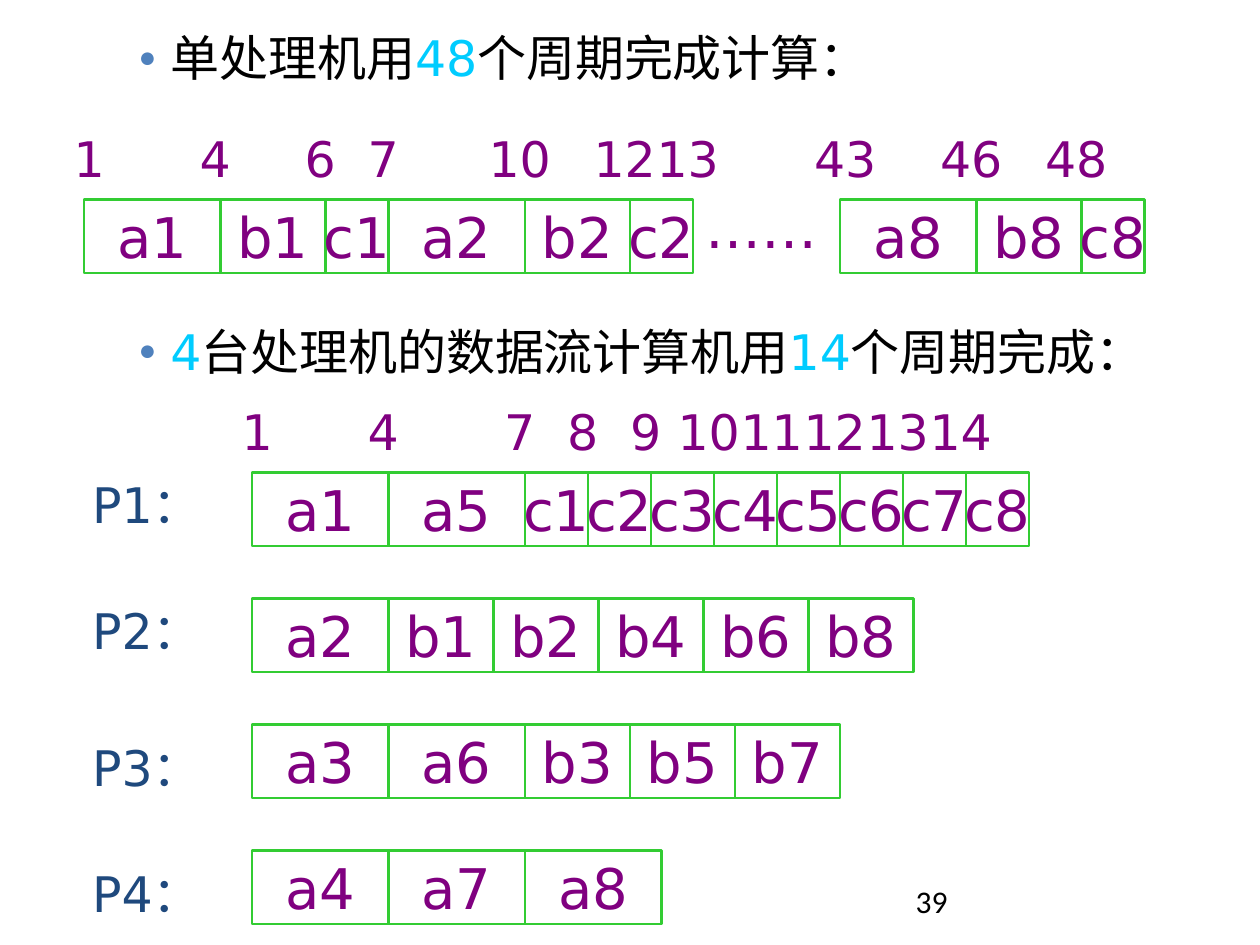
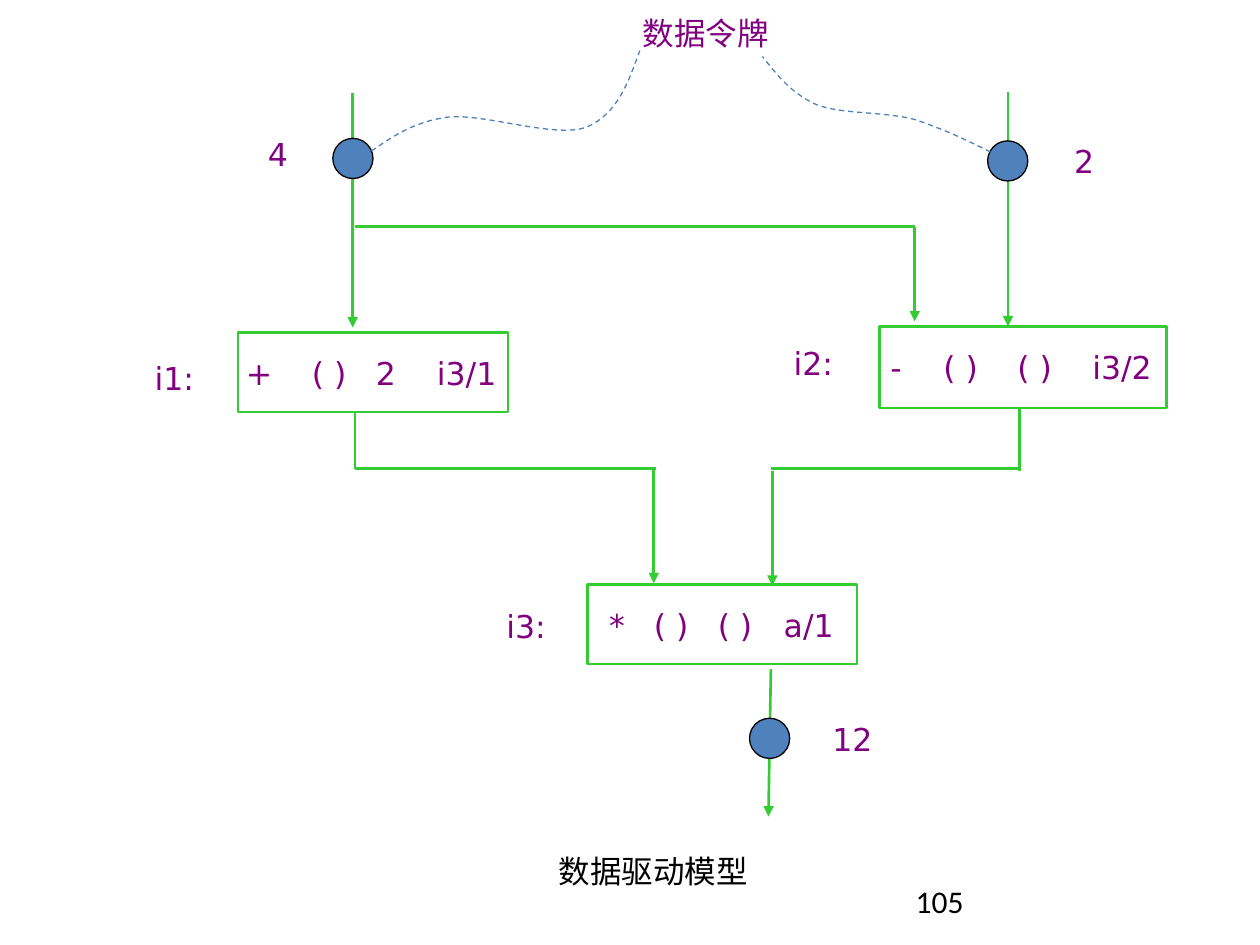
from pptx import Presentation
from pptx.dml.color import RGBColor
from pptx.enum.dml import MSO_LINE
from pptx.enum.shapes import MSO_CONNECTOR, MSO_SHAPE
from pptx.enum.text import MSO_ANCHOR, MSO_AUTO_SIZE, PP_ALIGN
from pptx.oxml.ns import qn
from pptx.oxml.xmlchemy import OxmlElement
from pptx.util import Cm, Pt

GREEN, PURPLE, BLUE = "33CC33", "800080", "4F81BD"
NAVY, CYAN, BLACK = "1F497D", "00CCFF", "000000"
UNIT = 2.54 / 12
WIDTH = {"a": 13, "b": 10, "c": 6}


def hue(code):
    return RGBColor.from_string(code)


def put(page, text, box, size=18, ink=PURPLE, font="DejaVu Sans", edge=None,
        shape=None, align=PP_ALIGN.CENTER, anchor=MSO_ANCHOR.MIDDLE, wrap=False):
    left, top, width, height = [Cm(n) for n in box]
    if edge:
        shape = page.shapes.add_shape(MSO_SHAPE.RECTANGLE, left, top, width, height)
        shape.shadow.inherit = False
        shape.fill.background()
        shape.line.color.rgb = hue(edge)
        shape.line.width = Pt(1.5)
    elif shape is None:
        shape = page.shapes.add_textbox(left, top, width, height)
    shape.left, shape.top, shape.width, shape.height = left, top, width, height
    frame = shape.text_frame
    frame.auto_size = MSO_AUTO_SIZE.NONE
    frame.word_wrap = wrap
    frame.vertical_anchor = anchor
    para = frame.paragraphs[0]
    para.alignment = align
    for part, color in [(text, ink)] if isinstance(text, str) else text:
        run = para.add_run()
        run.text = part
        run.font.size = Pt(size)
        run.font.name = font
        run.font.color.rgb = hue(color)
    return shape


deck = Presentation()
deck.slide_width, deck.slide_height = Cm(25.4), Cm(19.05)
time = deck.slides.add_slide(deck.slide_layouts[3])
flow = deck.slides.add_slide(deck.slide_layouts[5])
for page, number in [(time, "39"), (flow, "105")]:
    put(page, number, (18.21, 17.65, 5.92, 1.02), ink=BLACK, font="Calibri",
        align=PP_ALIGN.LEFT, anchor=MSO_ANCHOR.TOP, wrap=True)

title = time.shapes.title.element
title.getparent().remove(title)
points = [
    (1, 0.43, 1.47, [("单处理机用", BLACK), ("48", CYAN), ("个周期完成计算：", BLACK)]),
    (2, 6.35, 1.7, [("4", CYAN), ("台处理机的数据流计算机用", BLACK),
                    ("14", CYAN), ("个周期完成：", BLACK)]),
]
for index, top, height, runs in points:
    body = put(time, runs, (0, top, 25.4, height), size=28, shape=time.placeholders[index],
               align=PP_ALIGN.LEFT, anchor=MSO_ANCHOR.TOP, wrap=True)
    para = body.text_frame.paragraphs[0]
    para.level = 1
    props = para._p.get_or_add_pPr()
    props.set("marL", str(Cm(3.18)))
    props.set("indent", str(-Cm(0.64)))
    tint = OxmlElement("a:buClr")
    shade = OxmlElement("a:srgbClr")
    shade.set("val", BLUE)
    tint.append(shade)
    scale = OxmlElement("a:buSzPct")
    scale.set("val", "60000")
    mark = OxmlElement("a:buChar")
    mark.set("char", "●")
    props.extend([tint, scale, mark])

strips = [
    (8, 19, "a1 b1 c1 a2 b2 c2", "1 4 6 7 10 12 13"),
    (80, 19, "a8 b8 c8", "43 46 48"),
    (24, 45, "a1 a5 c1 c2 c3 c4 c5 c6 c7 c8", "1 4 7 8 9 10 11 12 13 14"),
    (24, 57, "a2 b1 b2 b4 b6 b8", ""),
    (24, 69, "a3 a6 b3 b5 b7", ""),
    (24, 81, "a4 a7 a8", ""),
]
for left, top, tasks, ticks in strips:
    edges = [left]
    for task in tasks.split():
        wide = WIDTH[task[0]]
        put(time, task, [n * UNIT for n in (edges[-1], top, wide, 7)], size=32, edge=GREEN)
        edges.append(edges[-1] + wide)
    for edge, tick in zip(edges, ticks.split()):
        shift = 2 if edge == left else 3
        put(time, tick, [n * UNIT for n in (edge - shift, top - 7, 5, 6)], size=28)
put(time, "……", [n * UNIT for n in (67, 18, 11, 7)], size=32)
for row, top in enumerate([45, 57, 70, 82], 1):
    put(time, f"P{row}：", [n * UNIT for n in (9, top, 10, 6)], size=28, ink=NAVY)

cells = [
    ("+\t( )\t2\ti3/1", (4.8, 6.71, 5.44, 1.6), 0.16, (1.33, 2.62, 3.85)),
    ("-\t( )\t( )\ti3/2", (17.73, 6.58, 5.79, 1.65), 0.22, (1.07, 2.56, 4.07)),
    ("*\t( )\t( )\ta/1", (11.84, 11.79, 5.44, 1.6), 0.44, (0.9, 2.19, 3.52)),
]
for text, box, inset, stops in cells:
    cell = put(flow, text, box, edge=GREEN, align=PP_ALIGN.LEFT, wrap=True)
    cell.text_frame.margin_left = Cm(inset)
    cell.text_frame.margin_right = 0
    tabs = OxmlElement("a:tabLst")
    for stop in stops:
        tab = OxmlElement("a:tab")
        tab.set("pos", str(Cm(stop)))
        tab.set("algn", "l")
        tabs.append(tab)
    cell.text_frame.paragraphs[0]._p.get_or_add_pPr().append(tabs)

labels = [("i1:", 2.51, 6.88), ("i2:", 15.39, 6.58), ("i3:", 9.6, 11.89),
          ("12", 16.18, 14.17), ("4", 4.6, 2.36), ("2", 20.85, 2.51)]
for text, left, top in labels:
    put(flow, text, (left, top, 2.01, 1.47))
put(flow, "数据令牌", (12.42, -0.08, 3.61, 1.47))
put(flow, "数据驱动模型", (7.47, 17.04, 11.4, 1.04), ink=BLACK, shape=flow.shapes.title)

wires = [
    (7.11, 1.88, 7.11, 6.6, True),
    (20.32, 1.85, 20.32, 6.58, True),
    (7.16, 4.57, 18.44, 4.57, False),
    (18.44, 4.57, 18.44, 6.48, True),
    (7.16, 8.31, 7.16, 9.45, False),
    (20.55, 8.23, 20.55, 9.5, False),
    (7.16, 9.45, 13.23, 9.45, False),
    (15.54, 9.45, 20.55, 9.45, False),
    (13.18, 9.45, 13.18, 11.76, True),
    (15.57, 9.5, 15.57, 11.81, True),
    (15.54, 13.49, 15.49, 16.46, True),
]
for *ends, arrow in wires:
    wire = flow.shapes.add_connector(MSO_CONNECTOR.STRAIGHT, *[Cm(n) for n in ends])
    wire.line.color.rgb = hue(GREEN)
    wire.line.width = Pt(1.5)
    props = wire.element.spPr
    if arrow:
        tip = OxmlElement("a:tailEnd")
        tip.set("type", "triangle")
        props.find(qn("a:ln")).append(tip)
    props.append(OxmlElement("a:effectLst"))

for left, top in [(6.71, 2.79), (19.91, 2.84), (15.11, 14.48)]:
    token = flow.shapes.add_shape(MSO_SHAPE.OVAL, Cm(left), Cm(top), Cm(0.81), Cm(0.81))
    token.shadow.inherit = False
    token.fill.solid()
    token.fill.fore_color.rgb = hue(BLUE)
    token.line.color.rgb = hue(BLACK)
    token.line.width = Pt(0.75)

curves = [
    [(7.34, 3.15), (7.82, 2.82), (8.28, 2.46), (9.04, 2.36), (9.78, 2.29),
     (11.18, 2.79), (11.81, 2.57), (12.45, 2.31), (12.67, 1.65), (12.9, 1.02)],
    [(20.29, 3.23), (19.69, 2.92), (19.08, 2.62), (18.44, 2.41), (17.78, 2.24),
     (16.97, 2.31), (16.46, 2.11), (15.95, 1.88), (15.67, 1.52), (15.37, 1.14)],
]
for knots in curves:
    trail = []
    for first in range(0, len(knots) - 1, 3):
        for step in range(1, 17):
            t = step / 16
            mix = ((1 - t) ** 3, 3 * t * (1 - t) ** 2, 3 * t * t * (1 - t), t ** 3)
            trail.append([Cm(sum(m * k[axis] for m, k in zip(mix, knots[first:first + 4])))
                          for axis in (0, 1)])
    pen = flow.shapes.build_freeform(Cm(knots[0][0]), Cm(knots[0][1]))
    pen.add_line_segments(trail, close=False)
    curve = pen.convert_to_shape()
    curve.shadow.inherit = False
    curve.fill.background()
    curve.line.color.rgb = hue(BLUE)
    curve.line.width = Pt(0.75)
    curve.line.dash_style = MSO_LINE.DASH

deck.save("out.pptx")
